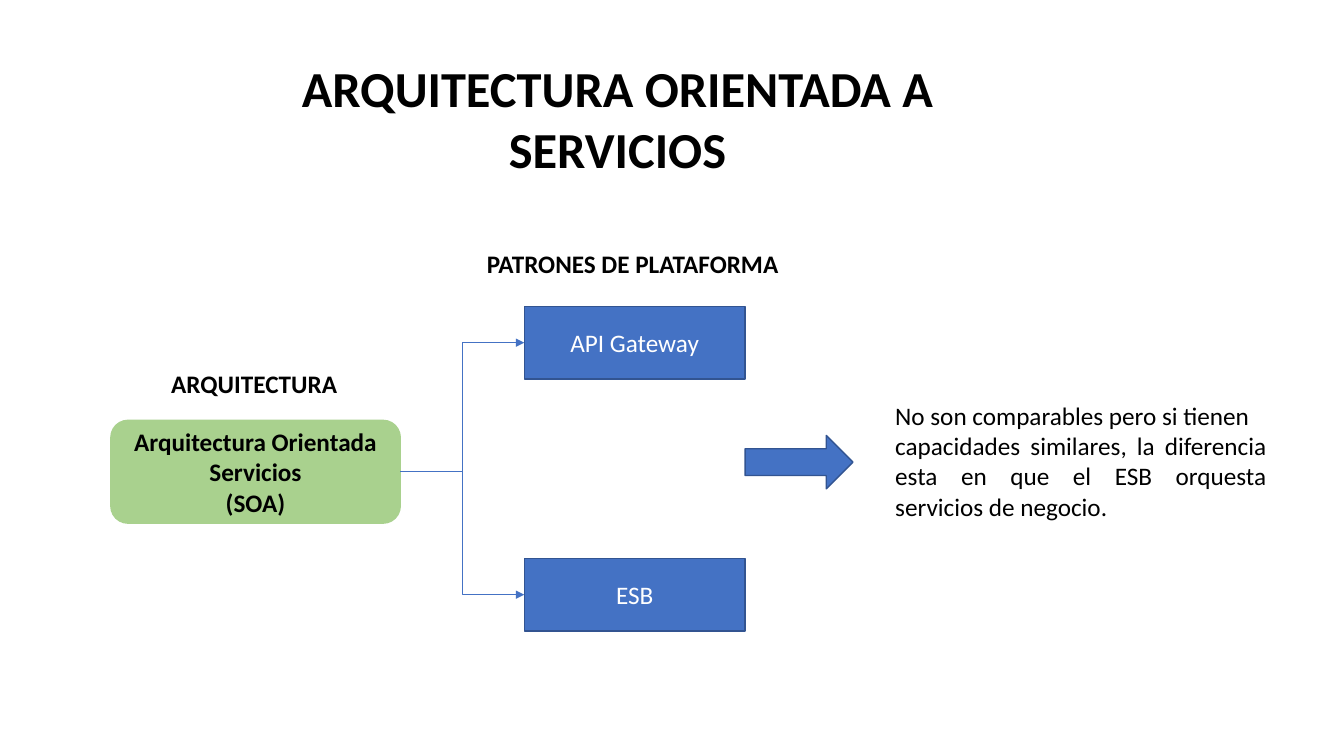
from dataclasses import dataclass

from lxml.etree import SubElement
from pptx import Presentation
from pptx.dml.color import RGBColor
from pptx.enum.shapes import MSO_CONNECTOR, MSO_SHAPE
from pptx.enum.text import MSO_ANCHOR, PP_ALIGN
from pptx.oxml.ns import qn
from pptx.util import Inches, Pt


@dataclass(frozen=True)
class Theme:
    font: str = "Calibri"
    title_size: int = 36
    body_size: int = 18
    outline_width: float = 1
    connector_width: float = 0.5
    black: str = "000000"
    white: str = "FFFFFF"
    blue: str = "4472C4"
    dark_blue: str = "325491"
    green: str = "A9D18E"


def write_text(frame, text, *, size, color, font, bold=False,
               align=PP_ALIGN.LEFT, anchor=MSO_ANCHOR.TOP, wrap=True):
    """Fill a text frame, one paragraph for each line of text."""
    frame.word_wrap = wrap
    frame.vertical_anchor = anchor
    for index, line in enumerate(text.split("\n")):
        para = frame.add_paragraph() if index else frame.paragraphs[0]
        para.alignment = align
        span = para.add_run()
        span.text = line
        span.font.name = font
        span.font.size = Pt(size)
        span.font.bold = bold
        span.font.color.rgb = RGBColor.from_string(color)


class SlideBuilder:
    def __init__(self, page, theme):
        self.page = page
        self.theme = theme

    def label(self, text, left, top, width, height, size=None, **text_format):
        box = self.page.shapes.add_textbox(
            Inches(left), Inches(top), Inches(width), Inches(height))
        write_text(box.text_frame, text, size=size or self.theme.body_size,
                   color=self.theme.black, font=self.theme.font, **text_format)
        return box

    def block(self, kind, left, top, width, height, fill, outline,
              text="", color=None, bold=False):
        shape = self.page.shapes.add_shape(
            kind, Inches(left), Inches(top), Inches(width), Inches(height))
        shape.shadow.inherit = False
        shape.fill.solid()
        shape.fill.fore_color.rgb = RGBColor.from_string(fill)
        shape.line.color.rgb = RGBColor.from_string(outline)
        shape.line.width = Pt(self.theme.outline_width)
        if text:
            write_text(shape.text_frame, text, size=self.theme.body_size,
                       color=color, font=self.theme.font, bold=bold,
                       align=PP_ALIGN.CENTER, anchor=MSO_ANCHOR.MIDDLE)
        return shape

    def elbow_arrow(self, source, target):
        """Join the right side of source to the left side of target."""
        arrow = self.page.shapes.add_connector(
            MSO_CONNECTOR.ELBOW,
            source.left + source.width, source.top + source.height // 2,
            target.left, target.top + target.height // 2)
        arrow.begin_connect(source, 3)
        arrow.end_connect(target, 1)
        arrow.line.color.rgb = RGBColor.from_string(self.theme.blue)
        arrow.line.width = Pt(self.theme.connector_width)
        SubElement(arrow.line._get_or_add_ln(), qn("a:tailEnd"), type="triangle")
        SubElement(arrow._element.spPr, qn("a:effectLst"))
        return arrow


deck = Presentation()
deck.slide_width = Inches(13.33)
deck.slide_height = Inches(7.5)
theme = Theme()
builder = SlideBuilder(deck.slides.add_slide(deck.slide_layouts[6]), theme)

# Title
builder.label("ARQUITECTURA ORIENTADA A SERVICIOS", 1.88, 0.52, 8.49, 1.31,
              size=theme.title_size, bold=True, align=PP_ALIGN.CENTER)

# Column headings
builder.label("ARQUITECTURA", 1.6, 3.61, 1.86, 0.4, bold=True, wrap=False)
builder.label("PATRONES DE PLATAFORMA", 4.73, 2.41, 3.12, 0.4,
              bold=True, wrap=False)

# Architecture and its platform patterns
architecture = builder.block(
    MSO_SHAPE.ROUNDED_RECTANGLE, 1.1, 4.17, 2.87, 1.02, theme.green, theme.green,
    text="Arquitectura Orientada Servicios\n(SOA)", color=theme.black, bold=True)
for name, top in (("API Gateway", 3.04), ("ESB", 5.54)):
    pattern = builder.block(MSO_SHAPE.RECTANGLE, 5.2, top, 2.19, 0.72,
                            theme.blue, theme.dark_blue,
                            text=name, color=theme.white)
    builder.elbow_arrow(architecture, pattern)

# Conclusion
builder.block(MSO_SHAPE.RIGHT_ARROW, 7.39, 4.32, 1.07, 0.53,
              theme.blue, theme.dark_blue)
builder.label("No son comparables pero si tienen\n"
              "capacidades similares, la diferencia esta en que el ESB "
              "orquesta servicios de negocio.",
              8.78, 3.92, 3.88, 1.31, align=PP_ALIGN.JUSTIFY)

deck.save("out.pptx")
